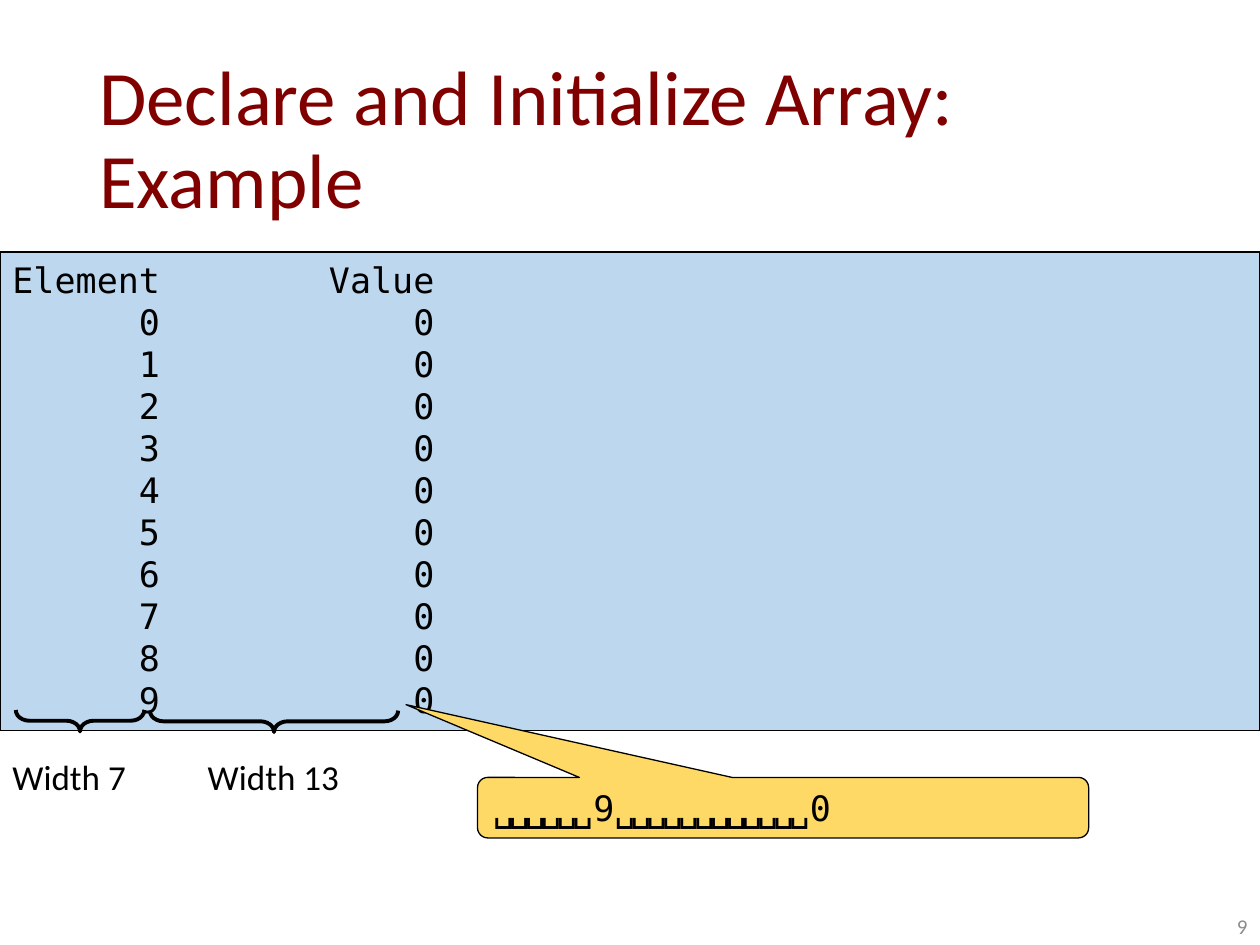
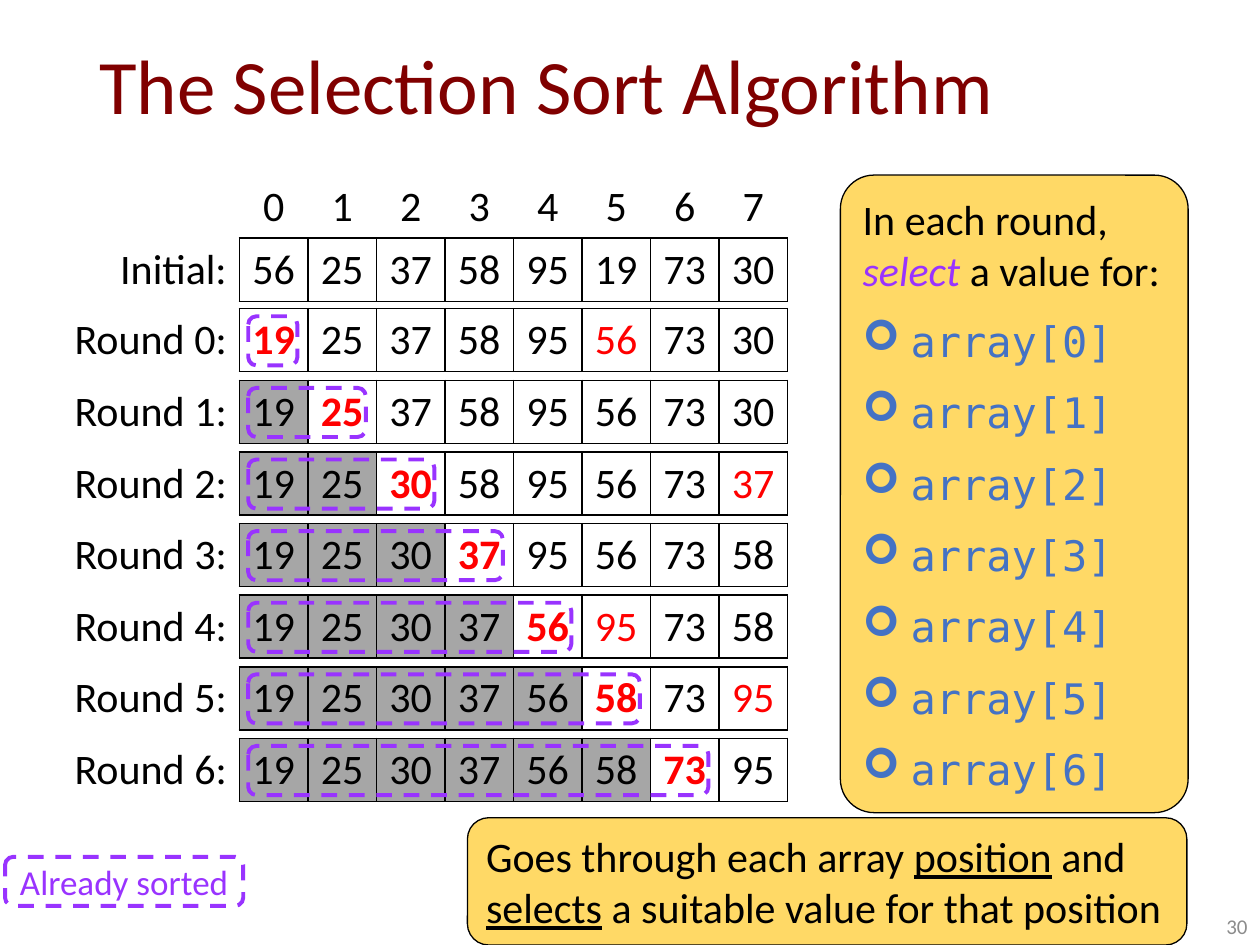
import pptx
import pptx.dml.color
import pptx.enum.dml
import pptx.enum.shapes
import pptx.enum.text
import pptx.oxml
import pptx.oxml.ns
import pptx.util

Inches = pptx.util.Inches
Pt = pptx.util.Pt
Shape = pptx.enum.shapes.MSO_SHAPE
Align = pptx.enum.text.PP_ALIGN
Anchor = pptx.enum.text.MSO_ANCHOR

SANS, MONO = "Calibri", "DejaVu Sans Mono"
BLACK, MAROON, GRAY, RED = "000000", "800000", "8C8C8C", "FF0000"
PURPLE, CODE_BLUE, OUTPUT_BLUE = "9933FF", "4472C4", "BDD7EE"
YELLOW, SORTED_GRAY = "FFD966", "A6A6A6"

# Slide 1: program output, field widths as (brace frame, label, label left, label width)
OUTPUT_LINES = ["Element        Value"] + [f"{i:7}{0:13}" for i in range(10)]
FIELDS = [
    ((0.55, 5.21, 0.17, 1.02), "Width 7", 0, 1.11),
    ((2.09, 4.74, 0.17, 1.97), "Width 13", 1.55, 1.25),
]
TIGHT = {"spacing": -3}
LAST_LINE = [("␣" * 6, TIGHT), ("9", {}), ("␣" * 12, TIGHT), ("0", {})]

# Slide 2: array after each round, with the column of the highlighted swapped value
INITIAL = [56, 25, 37, 58, 95, 19, 73, 30]
ROUNDS = [
    ([19, 25, 37, 58, 95, 56, 73, 30], 5),
    ([19, 25, 37, 58, 95, 56, 73, 30], None),
    ([19, 25, 30, 58, 95, 56, 73, 37], 7),
    ([19, 25, 30, 37, 95, 56, 73, 58], None),
    ([19, 25, 30, 37, 56, 95, 73, 58], 5),
    ([19, 25, 30, 37, 56, 58, 73, 95], 7),
    ([19, 25, 30, 37, 56, 58, 73, 95], None),
]
SELECT_INTRO = [("In each round, ", {}), ("select", {"color": PURPLE, "italic": True}),
                (" a value for:", {})]
SUMMARY = [("Goes through each array ", {}), ("position", {"underline": True}), (" and ", {}),
           ("selects", {"underline": True}), (" a suitable value for that position", {})]

TABLE_LEFT, LABEL_WIDTH, ROW_HEIGHT = 0.42, 1.48, 0.5
COLUMN_WIDTH = 4.35 / len(INITIAL)
INITIAL_TOP, FIRST_ROUND_TOP, LAST_ROUND_TOP = 1.39, 2.45, 5.86
ROUND_PITCH = (LAST_ROUND_TOP - FIRST_ROUND_TOP) / (len(ROUNDS) - 1)
PLAIN_TABLE_STYLE = "{2D5ABB26-0587-4C30-8999-92F81FD0307C}"


def rgb(color):
    return pptx.dml.color.RGBColor.from_string(color)


def style_font(font, size, name=SANS, color=BLACK):
    font.size, font.name = Pt(size), name
    font.color.rgb = rgb(color)


def write_paragraph(para, content, size, name=SANS, color=BLACK, align=Align.LEFT):
    """Fill a paragraph with a string or a list of (text, style) spans."""
    para.alignment = align
    style_font(para.font, size, name, color)
    for text, style in [(content, {})] if isinstance(content, str) else content:
        span = para.add_run()
        span.text = text
        style_font(span.font, size, name, style.get("color", color))
        span.font.italic = style.get("italic")
        span.font.underline = style.get("underline")
        if "spacing" in style:
            span._r.get_or_add_rPr().set("spc", str(style["spacing"] * 100))


def write_box(box, lines, size, anchor=Anchor.MIDDLE, wrap=True, **style):
    frame = box.text_frame
    frame.word_wrap, frame.vertical_anchor = wrap, anchor
    for number, line in enumerate(lines):
        para = frame.add_paragraph() if number else frame.paragraphs[0]
        write_paragraph(para, line, size, **style)
    return frame


def add_text(page, frame, text, size, **style):
    box = page.shapes.add_textbox(*map(Inches, frame))
    return write_box(box, [text], size, **style)


def add_shape(page, kind, frame, fill=None, line=BLACK, width=0.75, adjustments=()):
    shape = page.shapes.add_shape(kind, *map(Inches, frame))
    shape.shadow.inherit = False
    if fill:
        shape.fill.solid()
        shape.fill.fore_color.rgb = rgb(fill)
    else:
        shape.fill.background()
    shape.line.color.rgb = rgb(line)
    shape.line.width = Pt(width)
    for index, value in enumerate(adjustments):
        shape.adjustments[index] = value
    return shape


def add_sorted_frame(page, left, top, width):
    shape = add_shape(page, Shape.ROUNDED_RECTANGLE, (left, top, width, 0.39),
                      line=PURPLE, width=2.25)
    shape.line.dash_style = pptx.enum.dml.MSO_LINE.DASH
    return shape


def add_page(deck, title, title_top, title_height, number):
    page = deck.slides.add_slide(deck.slide_layouts[6])
    frame = add_text(page, (0.69, title_top, 8.62, title_height), title, 44, color=MAROON)
    frame.paragraphs[0].line_spacing = 0.9
    add_text(page, (7.75, 7.1, 2.25, 0.4), str(number), 12, color=GRAY,
             anchor=Anchor.BOTTOM, align=Align.RIGHT)
    return page


def add_bullet(para):
    properties = para._p.get_or_add_pPr()
    properties.set("marL", str(Inches(0.38)))
    properties.set("indent", str(-Inches(0.38)))
    namespace = pptx.oxml.ns.nsdecls("a")
    for xml in (f'<a:buFont {namespace} typeface="Wingdings"/>',
                f'<a:buChar {namespace} char="➢"/>'):
        properties.insert_element_before(pptx.oxml.parse_xml(xml), "a:tabLst", "a:defRPr", "a:extLst")


def set_borders(cell, sides):
    for side in sides:
        cell._tc.get_or_add_tcPr().append(pptx.oxml.parse_xml(
            f'<a:ln{side} {pptx.oxml.ns.nsdecls("a")} w="12700"><a:solidFill>'
            f'<a:srgbClr val="{BLACK}"/></a:solidFill></a:ln{side}>'))


def write_cell(cell, text, align=Align.CENTER, borders="LRTB", fill=None, color=BLACK, bold=False):
    set_borders(cell, borders)
    if fill:
        cell.fill.solid()
        cell.fill.fore_color.rgb = rgb(fill)
    else:
        cell.fill.background()
    cell.vertical_anchor = Anchor.MIDDLE
    if align == Align.CENTER:
        cell.margin_left = cell.margin_right = Inches(0.05)
    para = cell.text_frame.paragraphs[0]
    write_paragraph(para, text, 24, color=color, align=align)
    for span in para.runs:
        span.font.bold = bold


def add_array_table(page, top, row_count):
    width = LABEL_WIDTH + COLUMN_WIDTH * len(INITIAL)
    frame = (TABLE_LEFT, top, width, ROW_HEIGHT * row_count)
    table = page.shapes.add_table(row_count, len(INITIAL) + 1, *map(Inches, frame)).table
    table.first_row = table.horz_banding = False
    table._tbl.tblPr.find(pptx.oxml.ns.qn("a:tableStyleId")).text = PLAIN_TABLE_STYLE
    for index, column in enumerate(table.columns):
        column.width = Inches(COLUMN_WIDTH if index else LABEL_WIDTH)
    return table


def write_array_row(table, row, label, values, style_of=lambda column: {}):
    write_cell(table.cell(row, 0), label, Align.RIGHT, "R")
    for column, value in enumerate(values):
        write_cell(table.cell(row, column + 1), str(value), **style_of(column))


def build_output_page(deck):
    page = add_page(deck, "Declare and Initialize Array: Example", 0.4, 1.45, 9)
    output = add_shape(page, Shape.RECTANGLE, (0, 2, 10, 3.8), OUTPUT_BLUE)
    write_box(output, OUTPUT_LINES, 20, name=MONO, anchor=Anchor.TOP)
    for brace_frame, label, left, width in FIELDS:
        brace = add_shape(page, Shape.LEFT_BRACE, brace_frame, width=2.25, adjustments=(0.635, 0.5))
        brace.rotation = 270
        add_text(page, (left, 5.95, width, 0.44), label, 20, anchor=Anchor.TOP, wrap=False)
    callout = add_shape(page, Shape.ROUNDED_RECTANGULAR_CALLOUT, (3.79, 6.17, 4.85, 0.48), YELLOW,
                        adjustments=(-0.617, -1.704, 0.167))
    write_box(callout, [LAST_LINE], 20, name=MONO)


def build_sort_page(deck):
    page = add_page(deck, "The Selection Sort Algorithm", 0, 1.42, 30)
    table = add_array_table(page, INITIAL_TOP, 2)
    write_cell(table.cell(0, 0), "", borders="")
    for column in range(len(INITIAL)):
        write_cell(table.cell(0, column + 1), str(column), borders="B")
    write_array_row(table, 1, "Initial:", INITIAL)

    for number, (values, swapped) in enumerate(ROUNDS):
        def style_of(column):
            return {"fill": SORTED_GRAY if column < number else None,
                    "color": RED if column in (number, swapped) else BLACK,
                    "bold": column == number}

        top = FIRST_ROUND_TOP + number * ROUND_PITCH
        write_array_row(add_array_table(page, top, 1), 0, f"Round {number}:", values, style_of)
        add_sorted_frame(page, 1.97, top + 0.06, 0.39 + number * COLUMN_WIDTH)

    panel = add_shape(page, Shape.ROUNDED_RECTANGLE, (6.67, 1.39, 2.76, 5.06), YELLOW,
                      adjustments=(0.097,))
    frame = write_box(panel, [SELECT_INTRO], 24)
    for number in range(len(ROUNDS)):
        para = frame.add_paragraph()
        add_bullet(para)
        write_paragraph(para, f"array[{number}]", 24, MONO, CODE_BLUE)
    for para in frame.paragraphs:
        para.space_after = Pt(12)

    summary = add_shape(page, Shape.ROUNDED_RECTANGLE, (3.71, 6.49, 5.71, 1.01), YELLOW)
    write_box(summary, [SUMMARY], 24)
    legend = add_sorted_frame(page, 0.04, 6.8, 1.89)
    frame = write_box(legend, ["Already sorted"], 20, color=PURPLE, align=Align.CENTER, wrap=False)
    frame.margin_top = frame.margin_bottom = 0


def main():
    deck = pptx.Presentation()
    deck.slide_width, deck.slide_height = Inches(10), Inches(7.5)
    build_output_page(deck)
    build_sort_page(deck)
    deck.save("out.pptx")


if __name__ == "__main__":
    main()
